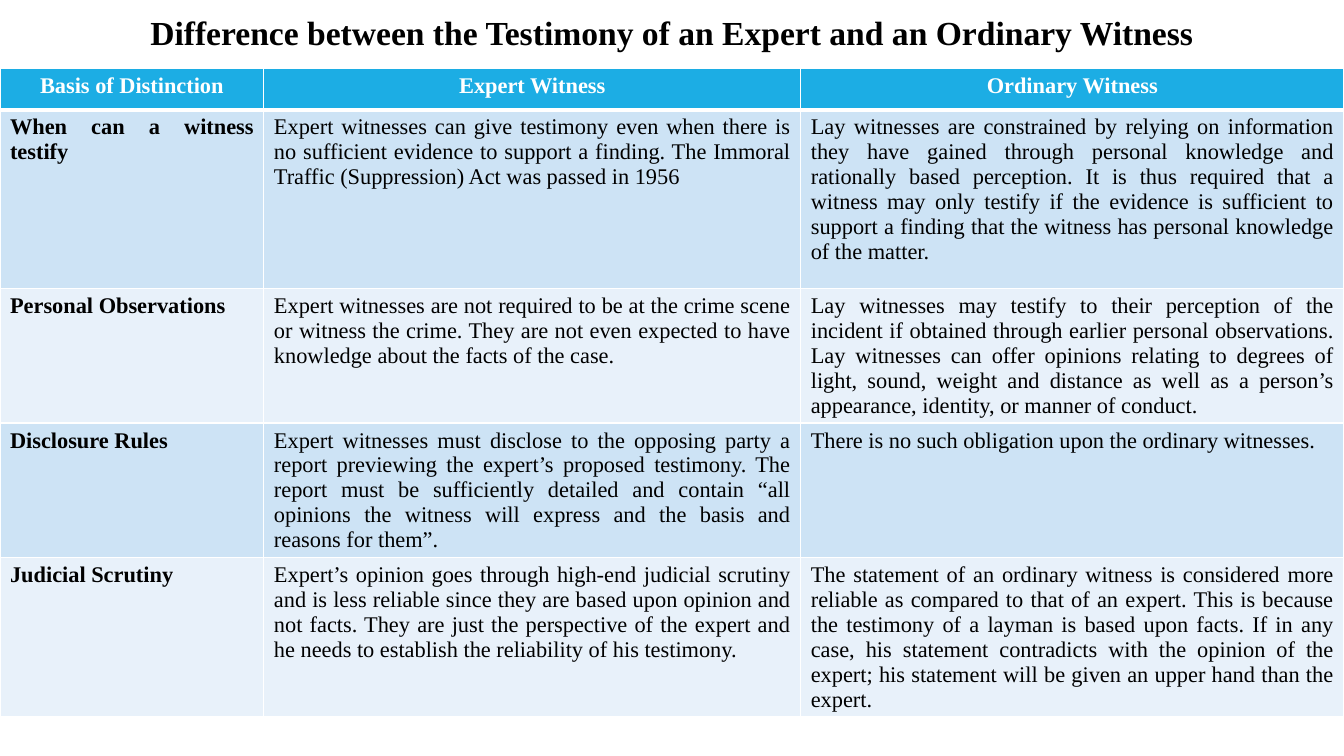
from lxml.etree import SubElement
from pptx import Presentation
from pptx.dml.color import RGBColor
from pptx.enum.text import MSO_AUTO_SIZE, PP_ALIGN
from pptx.oxml.ns import qn
from pptx.util import Cm, Pt

COLORS = {
    "ink": "000000",
    "white": "FFFFFF",
    "head": "1CADE4",
    "dark": "CDE3F5",
    "light": "E8F1FA",
}
WIDTHS = [6.65, 13.53, 13.69]
HEIGHTS = [1.04, 4.5, 3.39, 3.39, 4]
ROWS = [
    ["Basis of Distinction", "Expert Witness", "Ordinary Witness"],
    [
        "When can a witness testify",
        "Expert witnesses can give testimony even when there is no sufficient evidence to support a finding. "
        "The Immoral Traffic (Suppression) Act was passed in 1956",
        "Lay witnesses are constrained by relying on information they have gained through personal knowledge "
        "and rationally based perception. It is thus required that a witness may only testify if the evidence "
        "is sufficient to support a finding that the witness has personal knowledge of the matter.",
    ],
    [
        "Personal Observations",
        "Expert witnesses are not required to be at the crime scene or witness the crime. "
        "They are not even expected to have knowledge about the facts of the case.",
        "Lay witnesses may testify to their perception of the incident if obtained through earlier personal "
        "observations. Lay witnesses can offer opinions relating to degrees of light, sound, weight and "
        "distance as well as a person’s appearance, identity, or manner of conduct.",
    ],
    [
        "Disclosure Rules",
        "Expert witnesses must disclose to the opposing party a report previewing the expert’s proposed "
        "testimony. The report must be sufficiently detailed and contain “all opinions the witness will "
        "express and the basis and reasons for them”.",
        "There is no such obligation upon the ordinary witnesses.",
    ],
    [
        "Judicial Scrutiny",
        "Expert’s opinion goes through high-end judicial scrutiny and is less reliable since they are based "
        "upon opinion and not facts. They are just the perspective of the expert and he needs to establish "
        "the reliability of his testimony.",
        "The statement of an ordinary witness is considered more reliable as compared to that of an expert. "
        "This is because the testimony of a layman is based upon facts. If in any case, his statement "
        "contradicts with the opinion of the expert; his statement will be given an upper hand than the expert.",
    ],
]


class Painter:
    font = "Times New Roman"

    def __init__(self, slide):
        self.slide = slide

    def label(self, frame, text, size, color, bold, align):
        para = frame.paragraphs[0]
        para.alignment = align
        run = para.add_run()
        run.text = text
        run.font.name = self.font
        run.font.size = Pt(size)
        run.font.bold = bold
        run.font.color.rgb = RGBColor.from_string(COLORS[color])

    def title(self, text, left, top, width, height):
        box = self.slide.shapes.add_textbox(Cm(left), Cm(top), Cm(width), Cm(height))
        frame = box.text_frame
        frame.word_wrap = True
        frame.auto_size = MSO_AUTO_SIZE.SHAPE_TO_FIT_TEXT
        self.label(frame, text, 24, "ink", True, PP_ALIGN.CENTER)

    def border(self, cell, weights):
        props = cell._tc.get_or_add_tcPr()
        for side, weight in weights.items():
            line = SubElement(props, qn(f"a:ln{side}"), w=str(Pt(weight)))
            fill = SubElement(line, qn("a:solidFill"))
            SubElement(fill, qn("a:srgbClr"), val=COLORS["white"])

    def cell(self, cell, text, row, col):
        head = row == 0
        self.border(cell, {"L": 1, "R": 1, "T": 3 if row == 1 else 1, "B": 3 if head else 1})
        cell.fill.solid()
        shade = "head" if head else "dark" if row % 2 else "light"
        cell.fill.fore_color.rgb = RGBColor.from_string(COLORS[shade])
        self.label(
            cell.text_frame, text, 16, "white" if head else "ink", head or col == 0,
            PP_ALIGN.CENTER if head else PP_ALIGN.JUSTIFY,
        )

    def table(self, rows, widths, heights, left, top):
        grid = self.slide.shapes.add_table(
            len(rows), len(widths), Cm(left), Cm(top), Cm(sum(widths)), Cm(sum(heights))
        ).table
        for col, width in zip(grid.columns, widths):
            col.width = Cm(width)
        for row, height in zip(grid.rows, heights):
            row.height = Cm(height)
        for r, texts in enumerate(rows):
            for c, text in enumerate(texts):
                self.cell(grid.cell(r, c), text, r, c)


def main():
    deck = Presentation()
    deck.slide_width, deck.slide_height = Cm(33.87), Cm(19.05)
    paint = Painter(deck.slides.add_slide(deck.slide_layouts[6]))
    paint.table(ROWS, WIDTHS, HEIGHTS, 0, 1.73)
    paint.title("Difference between the Testimony of an Expert and an Ordinary Witness", 0, 0.18, 33.87, 1.27)
    deck.save("out.pptx")


if __name__ == "__main__":
    main()
